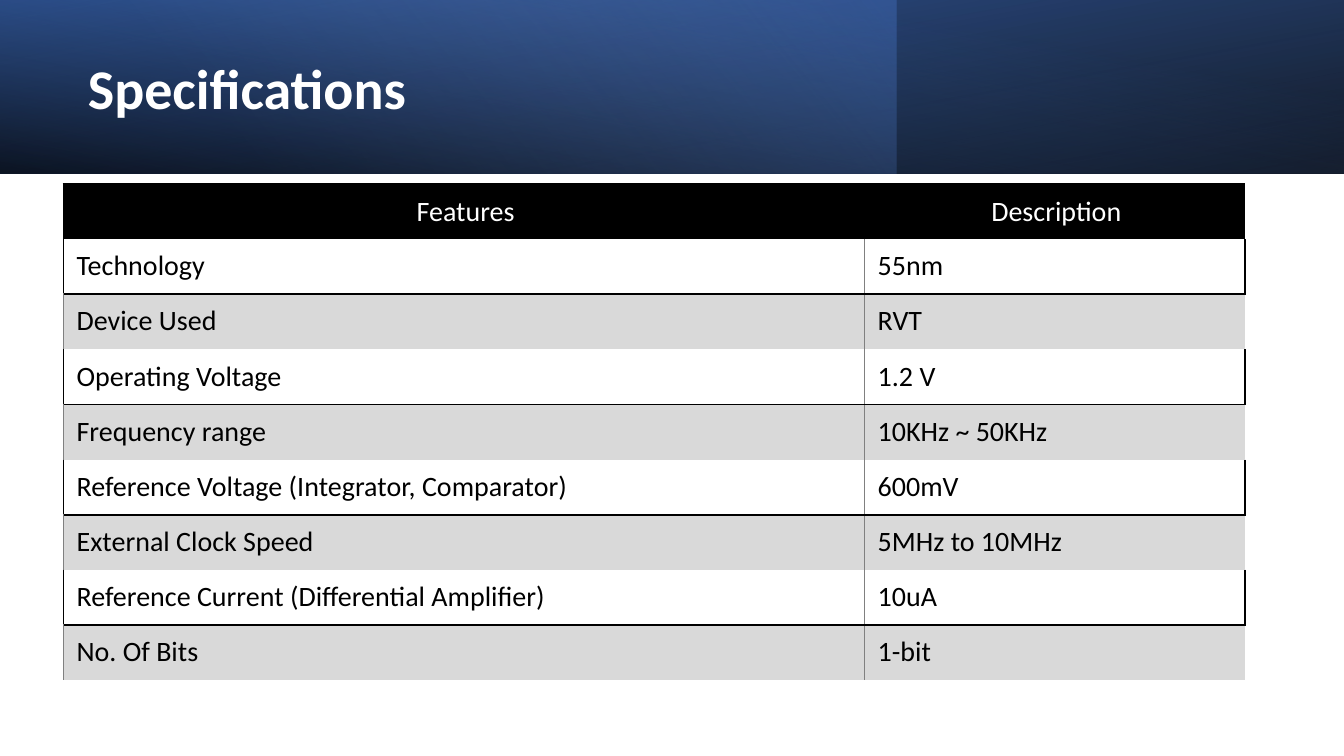
import pptx
import pptx.dml.color
import pptx.enum.shapes
import pptx.enum.text
import pptx.oxml
import pptx.oxml.ns
import pptx.util

Cm, Pt = pptx.util.Cm, pptx.util.Pt
PP_ALIGN = pptx.enum.text.PP_ALIGN
MIDDLE = pptx.enum.text.MSO_ANCHOR.MIDDLE
FONT = "Calibri"
NO_STYLE = "{2D5ABB26-0587-4C30-8999-92F81FD0307C}"
COLORS = {
    "black": "000000", "white": "FFFFFF", "navy": "2F5597", "blue": "4472C4",
    "sky": "8FAADC", "band": "D9D9D9", "rule": "808080",
}
SLIDE_WIDTH, SLIDE_HEIGHT = Cm(33.87), Cm(19.05)
HEADER_HEIGHT = Cm(4.37)

# width share, angle, rotation, flipped, stops of (position, color, opacity)
HEADER_LAYERS = [
    (1, 100, 180, True, [(0, "black", 96), (100, "navy", 100)]),
    (2 / 3, 140, 0, False, [(0, "blue", 41), (74, "sky", 0)]),
    (1, 260, 0, True, [(0, "black", 63), (78, "blue", 15)]),
]
SPECIFICATIONS = [
    ("Features", "Description"),
    ("Technology", "55nm"),
    ("Device Used", "RVT"),
    ("Operating Voltage", "1.2 V"),
    ("Frequency range", "10KHz ~ 50KHz"),
    ("Reference Voltage (Integrator, Comparator)", "600mV"),
    ("External Clock Speed", "5MHz to 10MHz"),
    ("Reference Current (Differential Amplifier)", "10uA"),
    ("No. Of Bits", "1-bit"),
]
THICK, THIN = ("black", 1.5), ("rule", 0.5)
# borders of the left and right cell in each kind of row
BORDERS = {
    "header": ({"L": THICK, "R": THICK, "T": THICK}, {"L": THICK, "T": THICK}),
    "plain": ({"L": THICK, "R": THIN, "B": THICK}, {"L": THIN, "R": THICK, "B": THICK}),
    "band": ({"L": THIN, "R": THIN, "T": THICK}, {"L": THIN, "T": THICK}),
}
FILLS = {"header": "black", "plain": "white", "band": "band"}


def rgb(name):
    return pptx.dml.color.RGBColor.from_string(COLORS[name])


def style_text(paragraph, size, color, bold=False):
    font = paragraph.font
    font.name, font.size, font.bold = FONT, Pt(size), bold
    font.color.rgb = rgb(color)


def set_gradient(shape, angle, stops):
    """Fill with a linear gradient whose stops carry their own opacity."""
    stop_xml = "".join(
        f'<a:gs pos="{position * 1000}"><a:srgbClr val="{COLORS[color]}">'
        f'<a:alpha val="{opacity * 1000}"/></a:srgbClr></a:gs>'
        for position, color, opacity in stops)
    gradient = pptx.oxml.parse_xml(
        f'<a:gradFill {pptx.oxml.ns.nsdecls("a")} rotWithShape="1">'
        f'<a:gsLst>{stop_xml}</a:gsLst>'
        f'<a:lin ang="{angle * 60000}" scaled="0"/></a:gradFill>')
    shape.fill.background()
    properties = shape._element.spPr
    properties.replace(properties.find(pptx.oxml.ns.qn("a:noFill")), gradient)


def set_borders(cell, borders):
    properties = cell._tc.get_or_add_tcPr()
    for index, side in enumerate("LRTB"):
        if side in borders:
            color, width = borders[side]
            content = f'<a:solidFill><a:srgbClr val="{COLORS[color]}"/></a:solidFill>'
        else:
            content, width = "<a:noFill/>", 0
        properties.insert(index, pptx.oxml.parse_xml(
            f'<a:ln{side} {pptx.oxml.ns.nsdecls("a")} w="{Pt(width)}">'
            f'{content}</a:ln{side}>'))


def add_header(slide, left, top, width, height):
    for share, angle, rotation, flipped, stops in HEADER_LAYERS:
        layer = slide.shapes.add_shape(
            pptx.enum.shapes.MSO_SHAPE.RECTANGLE, left, top, int(width * share), height)
        layer.shadow.inherit = False
        layer.rotation = rotation
        if flipped:
            layer._element.spPr.find(pptx.oxml.ns.qn("a:xfrm")).set("flipH", "1")
        set_gradient(layer, angle, stops)
        layer.line.fill.background()

    title = slide.shapes.title
    title.left, title.top = left + Cm(1.96), top + Cm(0.69)
    title.width, title.height = Cm(19.6), Cm(3.23)
    title.text_frame.text = "Specifications"
    title.text_frame.vertical_anchor = MIDDLE
    heading = title.text_frame.paragraphs[0]
    heading.alignment, heading.line_spacing = PP_ALIGN.LEFT, 0.9
    style_text(heading, 40, "white", bold=True)
    slide.shapes._spTree.append(title._element)  # in front of the layers


def add_specifications(slide, left, top, width, height):
    frame = slide.shapes.add_table(len(SPECIFICATIONS), 2, left, top, width, height)
    table = frame.table
    table.first_row = table.horz_banding = False
    table._tbl.tblPr.find(pptx.oxml.ns.qn("a:tableStyleId")).text = NO_STYLE
    table.columns[0].width = Cm(20.19)
    table.columns[1].width = width - Cm(20.19)
    for row, entries in enumerate(SPECIFICATIONS):
        kind = "header" if row == 0 else "plain" if row % 2 else "band"
        table.rows[row].height = height // len(SPECIFICATIONS)
        for column, entry in enumerate(entries):
            cell = table.cell(row, column)
            cell.text = entry
            cell.margin_left = Cm(0.33)
            cell.margin_right = cell.margin_top = cell.margin_bottom = Cm(0.25)
            cell.fill.solid()
            cell.fill.fore_color.rgb = rgb(FILLS[kind])
            set_borders(cell, BORDERS[kind][column])
            paragraph = cell.text_frame.paragraphs[0]
            style_text(paragraph, 20, "white" if kind == "header" else "black")
            if kind == "header":
                cell.vertical_anchor = MIDDLE
                paragraph.alignment = PP_ALIGN.CENTER


def main():
    presentation = pptx.Presentation()
    presentation.slide_width, presentation.slide_height = SLIDE_WIDTH, SLIDE_HEIGHT
    slide = presentation.slides.add_slide(presentation.slide_layouts[5])
    add_header(slide, 0, 0, SLIDE_WIDTH, HEADER_HEIGHT)
    add_specifications(slide, Cm(1.6), Cm(4.64), Cm(29.77), Cm(12.5))
    presentation.save("out.pptx")


if __name__ == "__main__":
    main()
